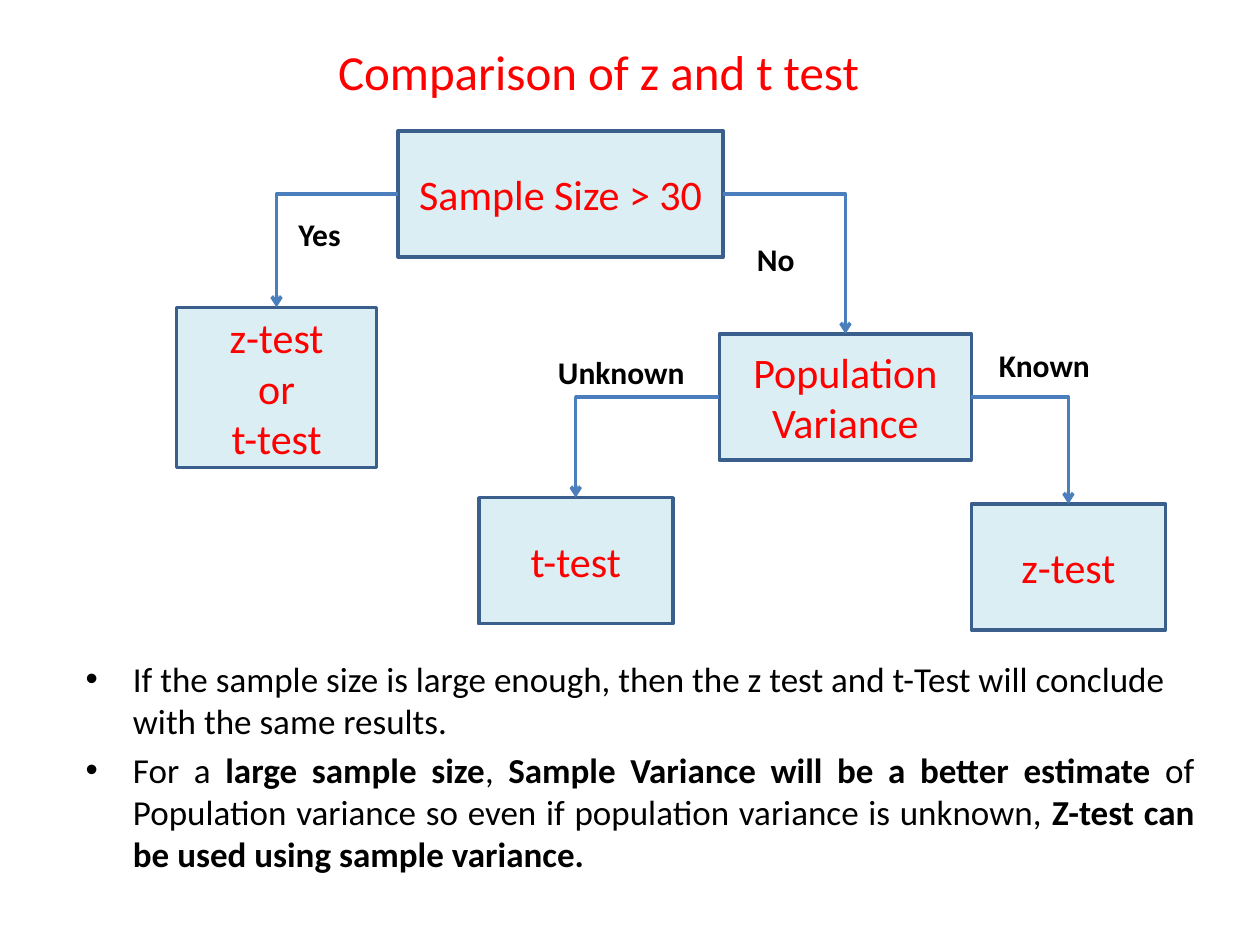
import lxml.etree
import pptx
import pptx.util
import pptx.dml.color
import pptx.enum.shapes
import pptx.enum.text
import pptx.oxml.ns

Inches, Pt = pptx.util.Inches, pptx.util.Pt
RGBColor = pptx.dml.color.RGBColor
Align = pptx.enum.text.PP_ALIGN
Anchor = pptx.enum.text.MSO_ANCHOR
AutoSize = pptx.enum.text.MSO_AUTO_SIZE
qn = pptx.oxml.ns.qn

RED = RGBColor(0xFF, 0x00, 0x00)
BLACK = RGBColor(0x00, 0x00, 0x00)
PALE_BLUE = RGBColor(0xDB, 0xEE, 0xF4)
DARK_BLUE = RGBColor(0x3A, 0x5F, 0x8C)
MID_BLUE = RGBColor(0x4B, 0x7E, 0xBC)

TITLE = "Comparison of z and t test"
TITLE_PLACE = (0.25, 0.25, 9, 0.62)
BODY_PLACE = (0.58, 5.17, 9, 1.83)

# Each bullet: alignment, then (text, bold) spans
BULLETS = [
    (Align.LEFT, [("If the sample size is large enough, then the z test and t-Test "
                   "will conclude with the same results.", False)]),
    (Align.JUSTIFY, [
        ("For a", False),
        (" large sample size", True),
        (", ", False),
        ("Sample Variance will be a better estimate", True),
        (" of Population variance so even if population variance is unknown, ", False),
        ("Z-test can be used using sample variance.", True),
    ]),
]

# name: (lines, (left, top, width, height))
BOXES = {
    "size": (["Sample Size > 30"], (3.16, 1.04, 2.58, 1)),
    "either": (["z-test", "or", "t-test"], (1.4, 2.44, 1.59, 1.27)),
    "variance": (["Population Variance"], (5.71, 2.65, 2, 1)),
    "t": (["t-test"], (3.8, 3.95, 1.54, 1)),
    "z": (["z-test"], (7.71, 4, 1.54, 1)),
}

# Connection sites of a rectangle
TOP, LEFT, RIGHT = 0, 1, 3

# question box, side it leaves from, answer box, label, label place
BRANCHES = [
    ("size", LEFT, "either", "Yes", (2.27, 1.66, 0.54, 0.4)),
    ("size", RIGHT, "variance", "No", (5.91, 1.86, 0.5, 0.4)),
    ("variance", LEFT, "t", "Unknown", (4.33, 2.75, 1.21, 0.4)),
    ("variance", RIGHT, "z", "Known", (7.83, 2.7, 0.93, 0.4)),
]

TITLE_FONT = {"name": "Calibri", "size": Pt(28), "bold": False}
BODY_FONT = {"name": "Calibri", "size": Pt(20)}
BOX_FONT = {"name": "Calibri", "size": Pt(24)}
LABEL_FONT = {"name": "Calibri", "size": Pt(18), "bold": True}


def inches(place):
    return [Inches(length) for length in place]


def move(shape, place):
    for side, length in zip(("left", "top", "width", "height"), inches(place)):
        setattr(shape, side, length)


def write(frame, paragraphs, font, color):
    """Fill a text frame from (alignment, [(text, extra font values)]) pairs."""
    for index, (alignment, spans) in enumerate(paragraphs):
        para = frame.add_paragraph() if index else frame.paragraphs[0]
        para.alignment = alignment
        for text, extra in spans:
            span = para.add_run()
            span.text = text
            for key, value in {**font, **extra}.items():
                setattr(span.font, key, value)
            span.font.color.rgb = color


def draw_line(line, color):
    line.width = Pt(2)
    line.color.rgb = color


def add_box(slide, lines, place):
    box = slide.shapes.add_shape(pptx.enum.shapes.MSO_SHAPE.RECTANGLE, *inches(place))
    box.shadow.inherit = False
    box.fill.solid()
    box.fill.fore_color.rgb = PALE_BLUE
    draw_line(box.line, DARK_BLUE)
    box.text_frame.vertical_anchor = Anchor.MIDDLE
    write(box.text_frame, [(Align.CENTER, [(line, {})]) for line in lines], BOX_FONT, RED)
    return box


def add_branch(slide, start, side, end):
    """Join two boxes with a one-bend arrow that enters the top of the second."""
    arrow = slide.shapes.add_connector(pptx.enum.shapes.MSO_CONNECTOR.ELBOW, 0, 0, 0, 0)
    arrow.begin_connect(start, side)
    arrow.end_connect(end, TOP)
    draw_line(arrow.line, MID_BLUE)
    properties = arrow._element.spPr
    properties.find(qn("a:prstGeom")).set("prst", "bentConnector2")
    lxml.etree.SubElement(properties.find(qn("a:ln")), qn("a:tailEnd"), type="arrow")
    lxml.etree.SubElement(properties, qn("a:effectLst"))


def add_label(slide, text, place):
    frame = slide.shapes.add_textbox(*inches(place)).text_frame
    frame.word_wrap = False
    frame.auto_size = AutoSize.SHAPE_TO_FIT_TEXT
    write(frame, [(Align.LEFT, [(text, {})])], LABEL_FONT, BLACK)


def main():
    deck = pptx.Presentation()
    deck.slide_width, deck.slide_height = Inches(10), Inches(7.5)
    slide = deck.slides.add_slide(deck.slide_layouts[1])

    title, body = slide.shapes.title, slide.placeholders[1]
    move(title, TITLE_PLACE)
    move(body, BODY_PLACE)
    for holder in (title, body):
        holder.text_frame.auto_size = AutoSize.NONE
    write(title.text_frame, [(Align.CENTER, [(TITLE, {})])], TITLE_FONT, RED)
    bullets = [(alignment, [(text, {"bold": bold}) for text, bold in spans])
               for alignment, spans in BULLETS]
    write(body.text_frame, bullets, BODY_FONT, BLACK)

    boxes = {name: add_box(slide, *content) for name, content in BOXES.items()}
    for start, side, end, label, place in BRANCHES:
        add_branch(slide, boxes[start], side, boxes[end])
        add_label(slide, label, place)

    deck.save("out.pptx")


if __name__ == "__main__":
    main()
